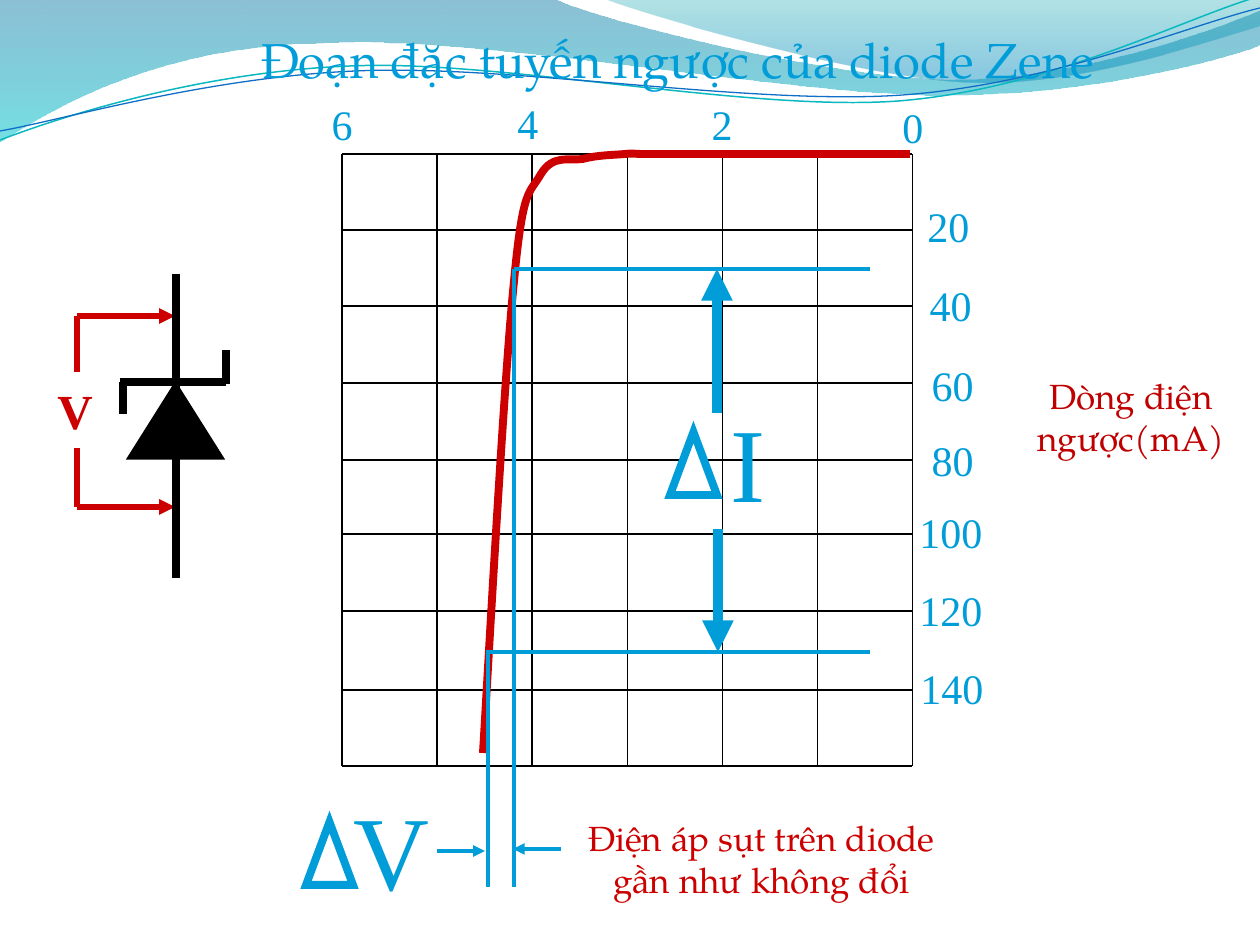
from lxml.etree import SubElement
from pptx import Presentation
from pptx.dml.color import RGBColor
from pptx.enum.shapes import MSO_CONNECTOR, MSO_SHAPE
from pptx.enum.text import MSO_ANCHOR as ANCHOR, MSO_AUTO_SIZE as AUTO, PP_ALIGN as ALIGN
from pptx.oxml.ns import qn
from pptx.util import Pt

PX = 914400 / 126
BLUE, RED, DARK_RED, BLACK = "009DD9", "CC0000", "C00000", "000000"
SERIF, PAGELLA = "Times New Roman", "TeX Gyre Pagella"

# Outlines: a pair is a straight step, six numbers are a Bezier step
WAVE_LEFT = [(0, 0), (554, -1), (600, 21, 837, 79, 955, 79),
             (1075, 79, 1207, 33, 1260, 11), (1261, 45),
             (1239, 55, 1096, 96, 940, 95), (784, 95, 481, 35, 324, 43),
             (163, 45, 58, 105, -1, 142)]
WAVE_RIGHT = [(604, -1), (641, 14, 859, 78, 969, 82),
              (1079, 87, 1211, 40, 1260, 26), (1260, 0)]
TEAL_LINE = [(0, 140), (60, 117, 199, 72, 349, 66),
             (498, 59, 747, 112, 898, 101), (1050, 89, 1182, 19, 1257, -3)]
BLUE_LINE = [(0, 131), (59, 121, 207, 77, 357, 71),
             (508, 64, 752, 106, 903, 95), (1053, 84, 1186, 26, 1260, 8)]
ZENER_CURVE = [(910, 154), (887, 154, 809, 154, 771, 154),
               (735, 154, 709, 154, 688, 154), (667, 154, 654, 154, 643, 154),
               (633, 154, 634, 153, 625, 154), (615, 155, 597, 155, 583, 159),
               (570, 161, 553, 154, 541, 174), (529, 195, 523, 186, 514, 282),
               (504, 379, 489, 655, 483, 753)]

# Chart grid and axis labels: value, left, top
GRID_ROWS = (154, 230, 306, 383, 460, 534, 611, 690, 766)
VOLT_LABELS = ((0, 890, 95), (2, 699, 92), (4, 505, 91), (6, 319, 92))
CURRENT_LABELS = ((20, 915, 194), (40, 917, 273), (60, 919, 353), (80, 919, 428),
                  (100, 907, 500), (120, 907, 578), (140, 908, 656))
LABEL_WIDTHS = {1: 46, 2: 67, 3: 88}


def emu(px):
    return round(px * PX)


def rgb(color):
    return RGBColor.from_string(color)


def set_line(sp, color, width):
    sp.line.color.rgb = rgb(color)
    sp.line.width = Pt(width)


def add_text(slide, text, box, size=24, font=SERIF, color=BLUE, bold=False, wrap=False):
    sp = slide.shapes.add_textbox(*map(emu, box))
    tf = sp.text_frame
    tf.word_wrap = wrap
    tf.auto_size = AUTO.SHAPE_TO_FIT_TEXT
    tf.vertical_anchor = ANCHOR.MIDDLE
    p = tf.paragraphs[0]
    p.alignment = ALIGN.CENTER
    r = p.add_run()
    r.text = text
    r.font.size, r.font.name, r.font.bold = Pt(size), font, bold
    r.font.color.rgb = rgb(color)


def add_line(slide, x1, y1, x2, y2, color=BLACK, width=0.75, arrow=False):
    ends = map(emu, (x1, y1, x2, y2))
    sp = slide.shapes.add_connector(MSO_CONNECTOR.STRAIGHT, *ends)
    set_line(sp, color, width)
    if arrow:
        SubElement(sp.line._get_or_add_ln(), qn("a:tailEnd"), type="triangle")
    SubElement(sp._element.spPr, qn("a:effectLst"))


def add_triangle(slide, box, color, width, fill=None):
    sp = slide.shapes.add_shape(MSO_SHAPE.ISOSCELES_TRIANGLE, *map(emu, box))
    sp.shadow.inherit = False
    set_line(sp, color, width)
    SubElement(sp.line._get_or_add_ln(), qn("a:miter"), lim="800000")
    if fill:
        sp.fill.solid()
        sp.fill.fore_color.rgb = rgb(fill)
    else:
        sp.fill.background()


def add_outline(slide, steps, close=False):
    points = [(emu(s[i]), emu(s[i + 1])) for s in steps for i in range(0, len(s), 2)]
    builder = slide.shapes.build_freeform(*points[0])
    builder.add_line_segments(points[1:], close=close)
    sp = builder.convert_to_shape()
    sp.shadow.inherit = False
    # Join each three points of a Bezier step into one curve
    segments = iter(list(sp._element.iter(qn("a:lnTo"))))
    for step in steps[1:]:
        segment = next(segments)
        if len(step) == 6:
            segment.tag = qn("a:cubicBezTo")
            for extra in (next(segments), next(segments)):
                segment.append(extra[0])
                extra.getparent().remove(extra)
    return sp


def add_curve(slide, steps, color, width):
    sp = add_outline(slide, steps)
    sp.fill.background()
    set_line(sp, color, width)


def add_wave(slide, steps, stops):
    sp = add_outline(slide, steps, close=True)
    sp.line.fill.background()
    sp.fill.gradient()
    sp.fill.gradient_angle = 270
    for stop, (position, color, _) in zip(sp.fill.gradient_stops, stops):
        stop.position = position
        stop.color.rgb = rgb(color)
    for clr, (_, _, opacity) in zip(sp._element.spPr.iter(qn("a:srgbClr")), stops):
        SubElement(clr, qn("a:alpha"), val=str(opacity * 1000))


def add_background(slide):
    add_wave(slide, WAVE_LEFT, [(0, "0074A1", 45), (1, "00C6CF", 55)])
    add_wave(slide, WAVE_RIGHT, [(0, "00A1A9", 30), (0.8, "008BBF", 45)])
    add_curve(slide, TEAL_LINE, "0AB8BF", 0.85)
    add_curve(slide, BLUE_LINE, "0F6FC6", 0.75)


def add_chart_grid(slide):
    left, right = 342, 912.5
    top, bottom = GRID_ROWS[0], GRID_ROWS[-1]
    add_line(slide, left, top, left, bottom)
    for y in GRID_ROWS:
        add_line(slide, left, y, right, y)
    for i in range(1, 7):
        x = left + i * (right - left) / 6
        add_line(slide, x, bottom, x, top)


def add_labels(slide, labels):
    for value, left, top in labels:
        text = str(value)
        add_text(slide, text, (left, top, LABEL_WIDTHS[len(text)], 63))


def add_deltas(slide):
    # Levels that bound the change of current
    add_line(slide, 514, 269, 870, 269, BLUE, 2.25)
    add_line(slide, 486, 652, 870, 652, BLUE, 2.25)
    add_text(slide, "I", (718, 391, 60, 139), size=60)
    add_triangle(slide, (670, 432, 47, 63), BLUE, 4.5, fill="FFFFFF")
    add_line(slide, 717, 413, 717, 269, BLUE, 6, arrow=True)
    add_line(slide, 718, 529, 718, 652, BLUE, 6, arrow=True)
    # Verticals that bound the change of voltage
    add_triangle(slide, (306, 822, 47, 63), BLUE, 4.5)
    add_text(slide, "V", (341, 779, 101, 139), size=60)
    add_line(slide, 514, 269, 514, 887, BLUE, 2.25)
    add_line(slide, 488, 652, 488, 887, BLUE, 2.25)
    add_line(slide, 437, 851, 485, 851, BLUE, 2.25, arrow=True)
    add_line(slide, 561, 849, 513, 849, BLUE, 2.25, arrow=True)


def add_bracket(slide):
    add_text(slide, "V", (45, 374, 60, 72), size=28, color=RED, bold=True)
    for y, inner in ((316, 372), (507, 448)):
        add_line(slide, 77, y, 175, y, RED, 3, arrow=True)
        add_line(slide, 77, y, 77, inner, RED, 3)


def add_diode(slide):
    add_triangle(slide, (127, 382, 97, 77), BLACK, 0.75, fill=BLACK)
    for line in ((120, 382, 226, 382), (176, 274, 176, 578),
                 (123, 382, 123, 414), (226, 384, 226, 350)):
        add_line(slide, *line, BLACK, 4.5)


def main():
    prs = Presentation()
    prs.slide_width, prs.slide_height = emu(1260), emu(945)
    slide = prs.slides.add_slide(prs.slide_layouts[6])
    add_background(slide)
    add_chart_grid(slide)
    add_labels(slide, VOLT_LABELS)
    add_curve(slide, ZENER_CURVE, RED, 4.5)
    add_labels(slide, CURRENT_LABELS)
    add_text(slide, "Đoạn đặc tuyến ngược của diode Zene", (234, 23, 887, 72),
             size=28, font=PAGELLA)
    add_text(slide, "Dòng điện ngược(mA)", (1002, 368, 258, 97),
             size=20, font=PAGELLA, color=DARK_RED, wrap=True)
    add_deltas(slide)
    add_bracket(slide)
    add_text(slide, "Điện áp sụt trên diode gần như không đổi", (557, 810, 409, 97),
             size=20, font=PAGELLA, color=RED, wrap=True)
    add_diode(slide)
    prs.save("out.pptx")


if __name__ == "__main__":
    main()
